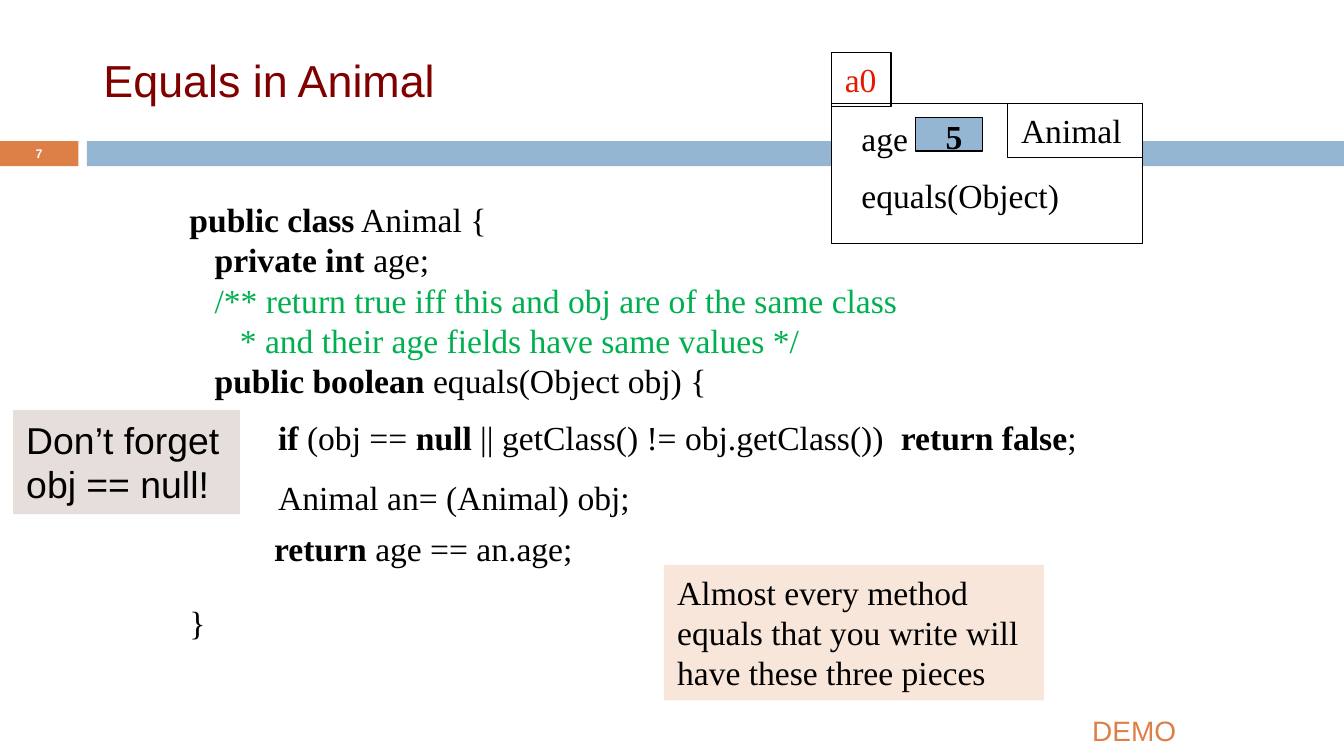
from dataclasses import dataclass

from pptx import Presentation
from pptx.dml.color import RGBColor
from pptx.enum.shapes import MSO_SHAPE
from pptx.enum.text import MSO_ANCHOR, PP_ALIGN
from pptx.util import Pt


@dataclass(frozen=True)
class Theme:
    """Colours, fonts and type sizes of the slide."""
    orange: str = "DD8047"
    blue: str = "94B6D2"
    maroon: str = "800000"
    red: str = "E41900"
    green: str = "00B050"
    peach: str = "F8E6DA"
    taupe: str = "E6DEDB"
    black: str = "000000"
    white: str = "FFFFFF"
    sans: str = "Arial"
    serif: str = "Times New Roman"
    title: float = 24
    callout: float = 20
    body: float = 18
    demo: float = 15
    number: float = 6.7


THEME = Theme()
INDENT = 13.5


def add_box(slide, box, fill=None, line=None):
    """Add a rectangle with an optional fill and outline."""
    shape = slide.shapes.add_shape(MSO_SHAPE.RECTANGLE, *map(Pt, box))
    shape.shadow.inherit = False
    if fill:
        shape.fill.solid()
        shape.fill.fore_color.rgb = RGBColor.from_string(fill)
    else:
        shape.fill.background()
    if line:
        shape.line.color.rgb = RGBColor.from_string(line)
        shape.line.width = Pt(0.75)
    else:
        shape.line.fill.background()
    return shape


def add_text(slide, box, *lines, shape=None, font=THEME.serif, size=THEME.body,
             color=THEME.black, bold=False, align=PP_ALIGN.LEFT,
             anchor=MSO_ANCHOR.TOP):
    """Write lines into a shape or a new text box; a backtick toggles bold.

    A line is a string or a pair of string and paragraph options
    (indent, before, color).
    """
    shape = shape or slide.shapes.add_textbox(*map(Pt, box))
    frame = shape.text_frame
    frame.word_wrap = True
    frame.vertical_anchor = anchor
    for index, line in enumerate(lines):
        text, options = (line, {}) if isinstance(line, str) else line
        paragraph = frame.paragraphs[0] if index == 0 else frame.add_paragraph()
        paragraph.alignment = align
        paragraph.space_before = Pt(options.get("before", 0))
        properties = paragraph._p.get_or_add_pPr()
        properties.set("marL", str(Pt(options.get("indent", 0))))
        properties.set("indent", "0")
        for part, words in enumerate(text.split("`")):
            if words:
                run = paragraph.add_run()
                run.text = words
                run.font.name = font
                run.font.size = Pt(size)
                run.font.bold = bold or part % 2 == 1
                run.font.color.rgb = RGBColor.from_string(
                    options.get("color", color))
    return shape


def add_header(slide, left, top, width):
    """Add the title, the two-colour band and the slide number."""
    add_box(slide, (left, top + 75.6, 42, 13.4), THEME.orange)
    add_box(slide, (left + 46.6, top + 75.6, width - 46.6, 13.4), THEME.blue)
    add_text(slide, (left + 48.4, top + 13.7, 642, 58.3), "Equals in Animal",
             font=THEME.sans, size=THEME.title, color=THEME.maroon,
             anchor=MSO_ANCHOR.MIDDLE)
    add_text(slide, (left, top + 75, 42, 14.4), "7", font=THEME.sans,
             size=THEME.number, color=THEME.white, bold=True,
             align=PP_ALIGN.CENTER, anchor=MSO_ANCHOR.MIDDLE)


def add_code(slide, left, top):
    """Add the class listing and the three statements of its method."""
    step = {"indent": INDENT}
    comment = {"color": THEME.green}
    add_text(slide, (left, top, 531.4, 247),
             "`public class` Animal {",
             ("`private int `age;", step),
             ("/** return true iff this and obj are of the same class",
              comment | step),
             ("* and their age fields have same values */",
              comment | {"indent": 2 * INDENT}),
             ("`public boolean `equals(Object obj) {", step),
             ("}", {"before": 108}))
    statements = [
        (47.5, 116.6, 470, "`if` (obj == `null` || getClass() != "
                           "obj.getClass()) ` return false`;"),
        (47.5, 149, 206, "Animal an= (Animal) obj;"),
        (45.4, 176, 181, "`return` age == an.age;"),
    ]
    for x, y, width, text in statements:
        add_text(slide, (left + x, top + y, width, 29), text)


def add_object_diagram(slide, left, top):
    """Add the Animal object with its name tab, class tab and field."""
    add_box(slide, (left, top + 27.4, 166.6, 75), THEME.white, THEME.black)
    tabs = [((left, top, 31.8, 29), "a0", THEME.red),
            ((left + 94.4, top + 27.4, 72.2, 29), "Animal", THEME.black)]
    for box, label, color in tabs:
        add_text(slide, box, label, color=color,
                 shape=add_box(slide, box, line=THEME.black))
    add_text(slide, (left + 8.9, top + 31.7, 157.7, 62), "age",
             ("equals(Object)", {"before": 9}))
    add_box(slide, (left + 44.9, top + 34.9, 36, 18), THEME.blue, THEME.black)
    add_text(slide, (left + 54, top + 30.5, 24, 29), "5", bold=True)


def add_callout(slide, box, text, fill, **text_format):
    """Add a filled note."""
    add_text(slide, box, text, shape=add_box(slide, box, fill), **text_format)


def build():
    """Build and save the slide."""
    presentation = Presentation()
    presentation.slide_width, presentation.slide_height = Pt(720), Pt(405)
    slide = presentation.slides.add_slide(presentation.slide_layouts[6])
    add_header(slide, 0, 0, 720)
    add_code(slide, 94.4, 103)
    add_object_diagram(slide, 445.5, 28)
    add_text(slide, (578, 379, 62, 25), "DEMO", font=THEME.sans,
             size=THEME.demo, color=THEME.orange)
    add_callout(slide, (355.7, 302.6, 203.6, 72.7),
                "Almost every method equals that you write will "
                "have these three pieces", THEME.peach)
    add_callout(slide, (7, 219.7, 121.6, 55.7), "Don’t forget obj == null!",
                THEME.taupe, font=THEME.sans, size=THEME.callout)
    presentation.save("out.pptx")


build()
